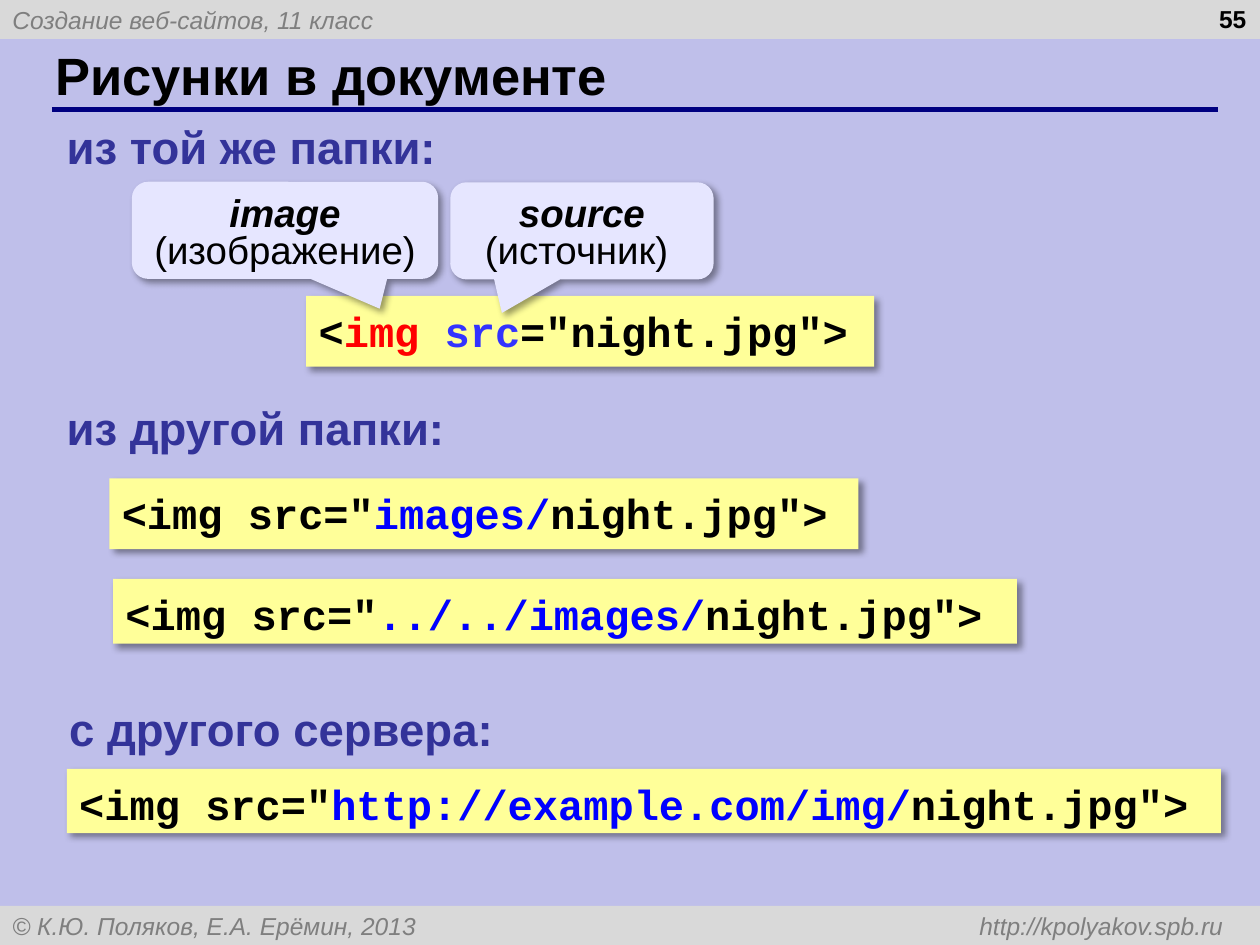
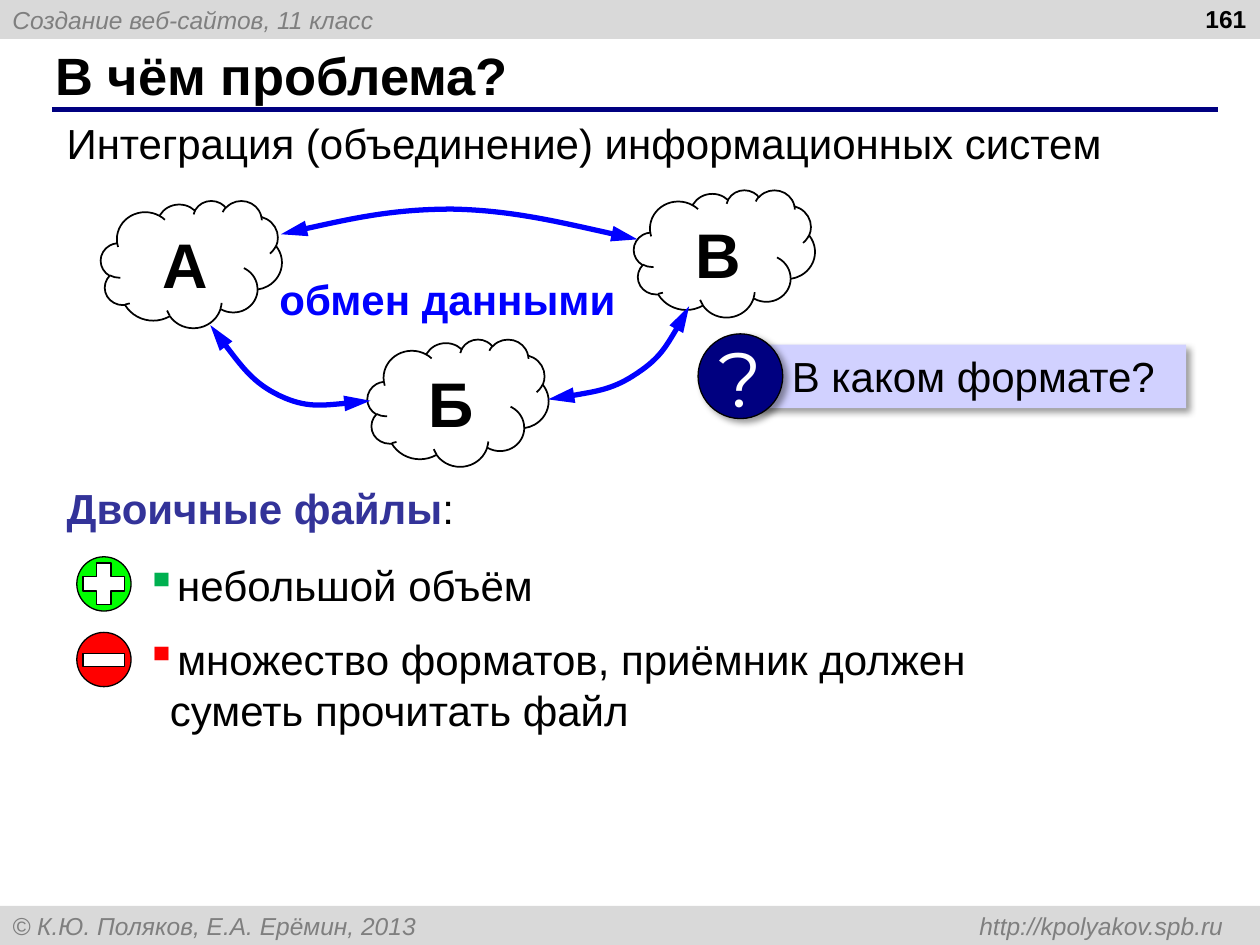
"""Build two lesson slides: images in a web page, and data exchange."""
import pptx
import pptx.util
import pptx.dml.color
import pptx.enum.shapes
import pptx.enum.text
import pptx.oxml
import pptx.oxml.ns
from lxml import etree

Pt = pptx.util.Pt
KIND = pptx.enum.shapes.MSO_SHAPE
ALIGN = pptx.enum.text.PP_ALIGN
MID = pptx.enum.text.MSO_ANCHOR.MIDDLE
TOP = pptx.enum.text.MSO_ANCHOR.TOP

WIDE, HIGH, BAND = 720, 540, 22.3
BLACK, WHITE, NAVY, BLUE = "000000", "FFFFFF", "000080", "0000FF"
INDIGO, GREY, SILVER = "333399", "7F7F7F", "D9D9D9"
LILAC, CREAM, PALE, MIST = "BFBFEA", "FFFF99", "E6E6FF", "D1D1FF"
GREEN, RED = "00FF00", "FF0000"
MONO = "Courier New"

COURSE = "Создание веб-сайтов, 11 класс"
CREDIT = "© К.Ю. Поляков, Е.А. Ерёмин, 2013\thttp://kpolyakov.spb.ru"

HEADS = [
    ("из той же папки:", (31, 64.3, 226, 38)),
    ("из другой папки:", (31, 224.9, 231, 38)),
    ("с другого сервера:", (32.4, 396.9, 258.5, 38)),
]
START, END = ('<img src="', BLACK), ('night.jpg">', BLACK)
CODES = [
    ([("<", BLACK), ("img ", RED), ("src", "3333FF"), ('="night.jpg">', BLACK)],
     (175, 169, 324.5, 40.5)),
    ([START, ("images/", BLUE), END], (62.5, 273.3, 428, 40.5)),
    ([START, ("../../images/", BLUE), END], (64.6, 330.8, 516.5, 37)),
    ([START, ("http://example.com/img/", BLUE), END], (38.2, 439.4, 659.5, 36.8)),
]
NOTES = [
    ("image", "(изображение) ", (75.4, 103.9, 175, 55.5), (0.309, 0.807)),
    ("source", "(источник) ", (257.3, 104.2, 150.5, 55.5), (-0.304, 0.845)),
]
CLOUDS = [("А", 57.6, 114.6), ("В", 362.2, 108.5), ("Б", 210, 193.8)]
CURVES = [
    [(160.6, 133.9), (192.2, 126.7), (224.6, 119.5), (258.5, 119.5),
     (292.3, 120.2), (328.3, 128.9), (364.3, 136.8)],
    [(393.8, 175), (385.9, 190.1), (377.3, 204.5), (364.3, 213.1),
     (350.6, 222.5), (331.9, 225.4), (313.2, 228.2)],
    [(211.7, 229), (193.7, 231.1), (175, 233.3), (159.8, 226.1),
     (144.7, 218.9), (132.5, 202.3), (120.2, 185.8)],
]
POINTS = [
    ("небольшой объём", "00B050", (76.3, 316.1, 535, 36.4)),
    ("множество форматов, приёмник должен суметь прочитать файл", RED,
     (76.3, 358.6, 543.6, 65.5)),
]


def tint(text):
    return pptx.dml.color.RGBColor.from_string(text)


def node(home, tag, **attrs):
    return etree.SubElement(home, pptx.oxml.ns.qn("a:" + tag), attrs)


def shade(shape):
    glow = node(shape._element.spPr.find(pptx.oxml.ns.qn("a:effectLst")), "outerShdw",
                blurRad=str(Pt(4)), dist=str(Pt(3)), dir="2700000",
                algn="tl", rotWithShape="0")
    node(node(glow, "srgbClr", val=BLACK), "alpha", val="40000")


def style(font, size, color, bold=False, ital=False, face="Arial"):
    font.name, font.size = face, Pt(size)
    font.bold, font.italic = bold, ital
    font.color.rgb = tint(color)


def draw(slide, kind, at, fill=None, line=None, shadow=False):
    shape = slide.shapes.add_shape(kind, *map(Pt, at))
    shape.shadow.inherit = False
    if fill:
        shape.fill.solid()
        shape.fill.fore_color.rgb = tint(fill)
    else:
        shape.fill.background()
    if line:
        shape.line.color.rgb = tint(BLACK)
        shape.line.width = Pt(line)
    else:
        shape.line.fill.background()
    if shadow:
        shade(shape)
    return shape


def write(shape, runs, size, color=BLACK, bold=False, ital=False, face="Arial",
          align=ALIGN.LEFT, anchor=TOP, wrap=True, left=7.2, top=3.6,
          bullet=None, tab=None):
    frame = shape.text_frame
    frame.word_wrap, frame.vertical_anchor = wrap, anchor
    frame.margin_left, frame.margin_top = Pt(left), Pt(top)
    para = frame.paragraphs[0]
    para.alignment = align
    props = para._p.get_or_add_pPr()
    if bullet:
        props.set("marL", str(Pt(13.7)))
        props.set("indent", str(Pt(-13.7)))
        node(node(props, "buClr"), "srgbClr", val=bullet)
        node(props, "buChar", char="▪")
    if tab:
        node(node(props, "tabLst"), "tab", pos=str(Pt(tab)), algn="r")
    style(para.font, size, color, bold, ital, face)
    for text, hue in [(runs, None)] if isinstance(runs, str) else runs:
        run = para.add_run()
        run.text = text
        if hue:
            run.font.color.rgb = tint(hue)
    return para


def label(slide, at, runs, size, **look):
    return write(slide.shapes.add_textbox(*map(Pt, at)), runs, size, **look)


def curve(slide, dots):
    dots = [(Pt(x), Pt(y)) for x, y in dots]
    form = slide.shapes.build_freeform(*dots[0])
    form.add_line_segments(dots[1:], close=False)
    shape = form.convert_to_shape()
    shape.shadow.inherit = False
    shape.fill.background()
    shape.line.color.rgb = tint(BLUE)
    shape.line.width = Pt(3)
    steps = shape._element.xpath(".//a:lnTo")
    route = steps[0].getparent()
    for i in range(0, len(steps), 3):
        bend = node(route, "cubicBezTo")
        for step in steps[i:i + 3]:
            bend.append(step[0])
            route.remove(step)
    for end in ("headEnd", "tailEnd"):
        node(shape.line._get_or_add_ln(), end, type="triangle", w="med", len="lg")


def base(deck, title, page, back):
    slide = deck.slides.add_slide(deck.slide_layouts[6])
    slide.background.fill.solid()
    slide.background.fill.fore_color.rgb = tint(back)
    for y, text, tab in [(0, COURSE, None), (HIGH - BAND, CREDIT, 692)]:
        band = draw(slide, KIND.RECTANGLE, (0, y, WIDE, BAND), SILVER)
        write(band, text, 14, GREY, ital=True, anchor=MID, tab=tab)
    rule = slide.shapes.add_connector(pptx.enum.shapes.MSO_CONNECTOR.STRAIGHT,
                                      *map(Pt, (29.6, 62.5, 696, 62.5)))
    rule.line.color.rgb = tint(NAVY)
    rule.line.width = Pt(3)
    node(rule._element.spPr, "effectLst")
    label(slide, (24.5, 23.8, 659.5, 37.4), title, 30, bold=True, anchor=MID)
    label(slide, (551.5, -1.4, 167.8, 37.4), page, 14, bold=True, align=ALIGN.RIGHT)
    return slide


def images(deck):
    slide = base(deck, "Рисунки в документе", "55", LILAC)
    for runs, at in CODES:
        box = draw(slide, KIND.RECTANGLE, at, CREAM, shadow=True)
        write(box, runs, 24, bold=True, face=MONO, top=5.5)
    for text, at in HEADS:
        label(slide, at, text, 26, color=INDIGO, bold=True, wrap=False)
    for term, gloss, at, tip in NOTES:
        note = draw(slide, KIND.ROUNDED_RECTANGULAR_CALLOUT, at, PALE, shadow=True)
        for i, val in enumerate((*tip, 0.167)):
            note.adjustments[i] = val
        para = write(note, term, 22, align=ALIGN.CENTER, top=6.5)
        para.line_spacing = 0.8
        para.runs[0].font.bold = para.runs[0].font.italic = True
        para.add_line_break()
        para.add_run().text = gloss


def trade(deck):
    slide = base(deck, "В чём проблема?", "161", WHITE)
    label(slide, (31, 63.4, 664.6, 36),
          "Интеграция (объединение) информационных систем", 24)
    for name, x, y in CLOUDS:
        cloud = draw(slide, KIND.CLOUD, (x, y, 103.5, 72.7), line=1)
        write(cloud, name, 36, bold=True, align=ALIGN.CENTER)
    for dots in CURVES:
        curve(slide, dots)
    label(slide, (152.6, 152.6, 208.8, 36.7), "обмен данными", 24,
          color=BLUE, bold=True, wrap=False)
    ask = draw(slide, KIND.RECTANGLE, (432, 196.9, 245.8, 36.4), MIST, shadow=True)
    write(ask, "В каком формате?", 24, left=20.5)
    mark = draw(slide, KIND.OVAL, (398.9, 190.8, 48.4, 48.4), NAVY, 0.75, True)
    write(mark, "?", 44, WHITE, face="Montserrat", align=ALIGN.CENTER,
          anchor=MID, wrap=False)
    label(slide, (31, 272.2, 664.6, 36), [("Двоичные файлы", INDIGO), (":", None)],
          24).runs[0].font.bold = True
    for text, hue, at in POINTS:
        label(slide, at, text, 24, bullet=hue)
    for y, hue in [(318.2, GREEN), (361.4, RED)]:
        draw(slide, KIND.OVAL, (43.9, y, 31, 31), hue, 0.75)
    plus = draw(slide, KIND.CROSS, (47.5, 321.8, 23.8, 23.8), WHITE, 0.75)
    plus.adjustments[0] = 0.33
    draw(slide, KIND.RECTANGLE, (47.5, 373.4, 23.8, 7.6), WHITE, 0.75)


def main():
    deck = pptx.Presentation()
    deck.slide_width, deck.slide_height = Pt(WIDE), Pt(HIGH)
    images(deck)
    trade(deck)
    deck.save("out.pptx")


if __name__ == "__main__":
    main()
